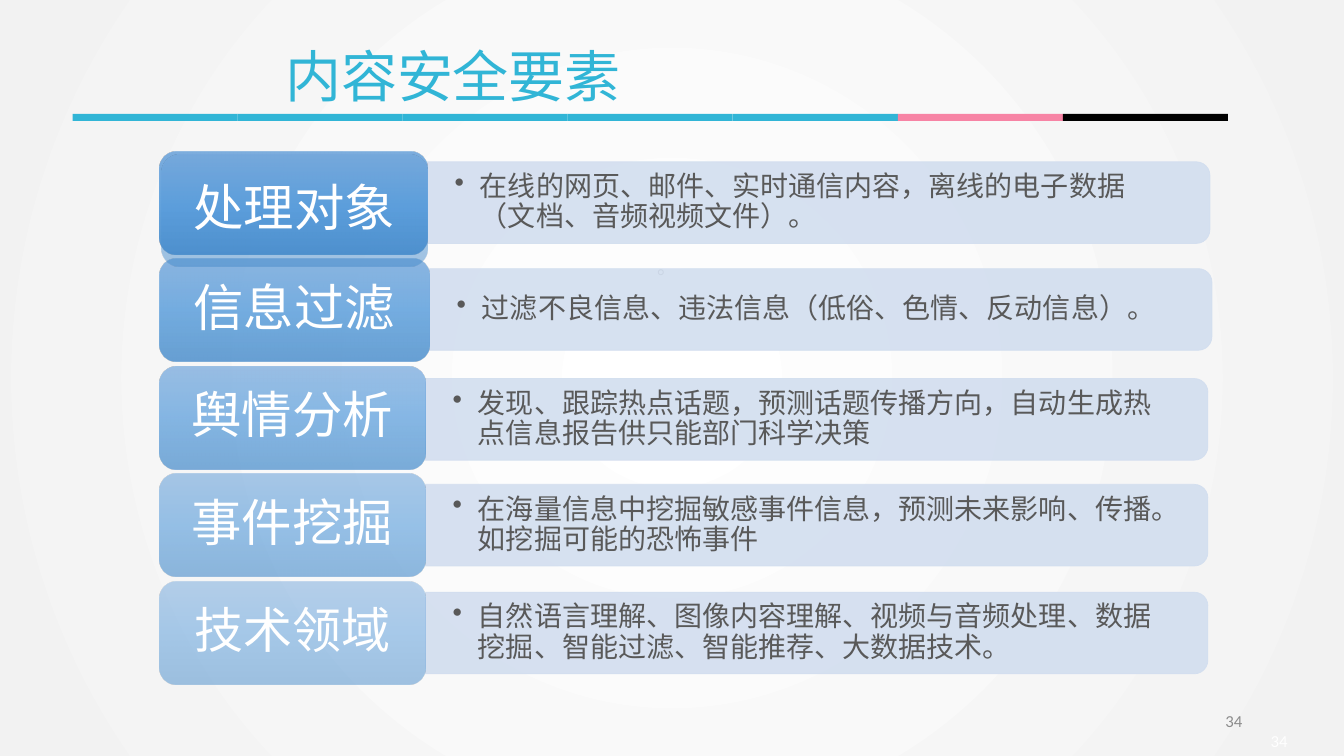
from lxml import etree
from pptx import Presentation
from pptx.dml.color import RGBColor
from pptx.enum.shapes import MSO_SHAPE
from pptx.enum.text import MSO_ANCHOR, PP_ALIGN
from pptx.oxml import parse_xml
from pptx.oxml.ns import qn
from pptx.util import Inches, Pt

RECT, ROUND = MSO_SHAPE.RECTANGLE, MSO_SHAPE.ROUNDED_RECTANGLE
ROUND_TOP = MSO_SHAPE.ROUND_2_SAME_RECTANGLE
TOP, MIDDLE = MSO_ANCHOR.TOP, MSO_ANCHOR.MIDDLE
LEFT, CENTER, RIGHT = PP_ALIGN.LEFT, PP_ALIGN.CENTER, PP_ALIGN.RIGHT
CJK = "Noto Sans CJK SC"
NS = "http://schemas.openxmlformats.org/drawingml/2006/main"
COLORS = {
    "title": "31B5D6", "pink": "F784A5", "black": "000000", "white": "FFFFFF",
    "edge": "F2F2F2", "bar": "D2DEEF", "body": "595959", "dot": "7F7F7F",
    "number": "8C8C8C", "tab_top": "71A6DB", "tab_mid": "559BDB", "tab_end": "448ACA",
}


def add_shape(kind, x, y, w, h, color=None, alpha=100):
    sp = s.shapes.add_shape(kind, Inches(x), Inches(y), Inches(w), Inches(h))
    sp.shadow.inherit = False
    sp.line.fill.background()
    if color:
        sp.fill.solid()
        sp.fill.fore_color.rgb = RGBColor.from_string(COLORS[color])
    else:
        sp.fill.gradient()
        grad = sp.element.spPr.find(qn("a:gradFill"))
        stops = "".join(
            f'<a:gs pos="{pos}"><a:srgbClr val="{COLORS[name]}">'
            f'<a:alpha val="{alpha * 1000}"/></a:srgbClr></a:gs>'
            for pos, name in ((0, "tab_top"), (50000, "tab_mid"), (100000, "tab_end")))
        grad.getparent().replace(grad, parse_xml(
            f'<a:gradFill xmlns:a="{NS}" rotWithShape="1"><a:gsLst>{stops}</a:gsLst>'
            '<a:lin ang="5400000" scaled="0"/></a:gradFill>'))
    return sp


def add_text(sp, text, size, color, align=LEFT, anchor=MIDDLE,
             inset=(0.1, 0.05), font=CJK, spacing=None, wrap=True):
    tf = sp.text_frame
    tf.word_wrap = wrap
    tf.vertical_anchor = anchor
    tf.margin_left = tf.margin_right = Inches(inset[0])
    tf.margin_top = tf.margin_bottom = Inches(inset[1])
    p = tf.paragraphs[0]
    p.alignment = align
    if spacing:
        p.line_spacing = spacing
    r = p.add_run()
    r.text = text
    r.font.size = Pt(size)
    r.font.name = font
    r.font.color.rgb = RGBColor.from_string(COLORS[color])
    etree.SubElement(r.font._element, qn("a:ea")).set("typeface", font)
    return p


prs = Presentation()
prs.slide_width, prs.slide_height = Inches(13.33), Inches(7.5)
s = prs.slides.add_slide(prs.slide_layouts[6])

s.background.fill.gradient()
grad = s.element.find(".//" + qn("a:gradFill"))
grad.getparent().replace(grad, parse_xml(
    f'<a:gradFill xmlns:a="{NS}" rotWithShape="1"><a:gsLst>'
    f'<a:gs pos="0"><a:srgbClr val="{COLORS["white"]}"/></a:gs>'
    f'<a:gs pos="100000"><a:srgbClr val="{COLORS["edge"]}"/></a:gs></a:gsLst>'
    '<a:path path="circle"><a:fillToRect l="50000" t="50000" r="50000" b="50000"/>'
    '</a:path></a:gradFill>'))

body = s.shapes.add_textbox(Inches(6.42), Inches(2.51), Inches(5.13), Inches(4.24))
add_text(body, "。", 14, "dot", anchor=TOP, spacing=0.9)

ROWS = [
    ("", 36, 2.66, 2.01, "在线的网页、邮件、实时通信内容，离线的电子数据（文档、音频视频文件）。"),
    ("信息过滤", 36, 2.68, 3.07, "过滤不良信息、违法信息（低俗、色情、反动信息）。"),
    ("舆情分析", 36, 2.64, 4.16, "发现、跟踪热点话题，预测话题传播方向，自动生成热点信息报告供只能部门科学决策"),
    ("事件挖掘", 36, 2.64, 5.21, "在海量信息中挖掘敏感事件信息，预测未来影响、传播。如挖掘可能的恐怖事件"),
    ("技术领域", 35, 2.64, 6.28, "自然语言理解、图像内容理解、视频与音频处理、数据挖掘、智能过滤、智能推荐、大数据技术。"),
]
TAB_X, TAB_Y, TAB_H, TAB_STEP = 1.58, 1.5, 1.02, 1.067
BAR_W, BAR_H = 7.76, 0.81
for i, (label, size, tab_w, mid_y, detail) in enumerate(ROWS):
    bar_x = TAB_X + tab_w
    bar = add_shape(ROUND_TOP, bar_x + (BAR_W - BAR_H) / 2, mid_y - BAR_W / 2,
                    BAR_H, BAR_W, "bar")
    bar.rotation = 90
    bar.line.color.rgb = RGBColor.from_string(COLORS["bar"])
    bar.line.width = Pt(0.5)
    for clr in bar.element.spPr.iter(qn("a:srgbClr")):
        etree.SubElement(clr, qn("a:alpha")).set("val", "90000")

    box = s.shapes.add_textbox(Inches(bar_x), Inches(mid_y - 0.365), Inches(7.72), Inches(0.73))
    p = add_text(box, detail, 20, "body", inset=(0.27, 0.14), spacing=0.9)
    p.level = 1
    pPr = p._p.get_or_add_pPr()
    pPr.set("marL", str(Inches(0.25)))
    pPr.set("indent", str(Inches(-0.25)))
    etree.SubElement(pPr, qn("a:buChar")).set("char", "•")

    tab = add_shape(ROUND, TAB_X, TAB_Y + i * TAB_STEP, tab_w, TAB_H, alpha=90 - 10 * i)
    if label:
        add_text(tab, label, size, "white", CENTER, inset=(0.15, 0.07), spacing=0.9)

RULE_W = 1.637
for i, color in enumerate(["title"] * 5 + ["pink", "black"]):
    add_shape(RECT, 0.72 + i * RULE_W, 1.13, RULE_W, 0.07, color)

title = s.shapes.add_textbox(Inches(2.73), Inches(0.36), Inches(3.57), Inches(0.77))
add_text(title, "内容安全要素", 40, "title", anchor=TOP, wrap=False)

first_tab = add_shape(ROUND, 1.6, 1.53, 2.64, 1.11, alpha=50)
add_text(first_tab, "处理对象", 36, "white", CENTER, inset=(0.15, 0.07), spacing=0.9)

for x, y, color in ((9.42, 6.95, "number"), (9.87, 7.15, "white")):
    number = s.shapes.add_textbox(Inches(x), Inches(y), Inches(3), Inches(0.4))
    add_text(number, "34", 12, color, RIGHT, font="Calibri")

prs.save("out.pptx")
